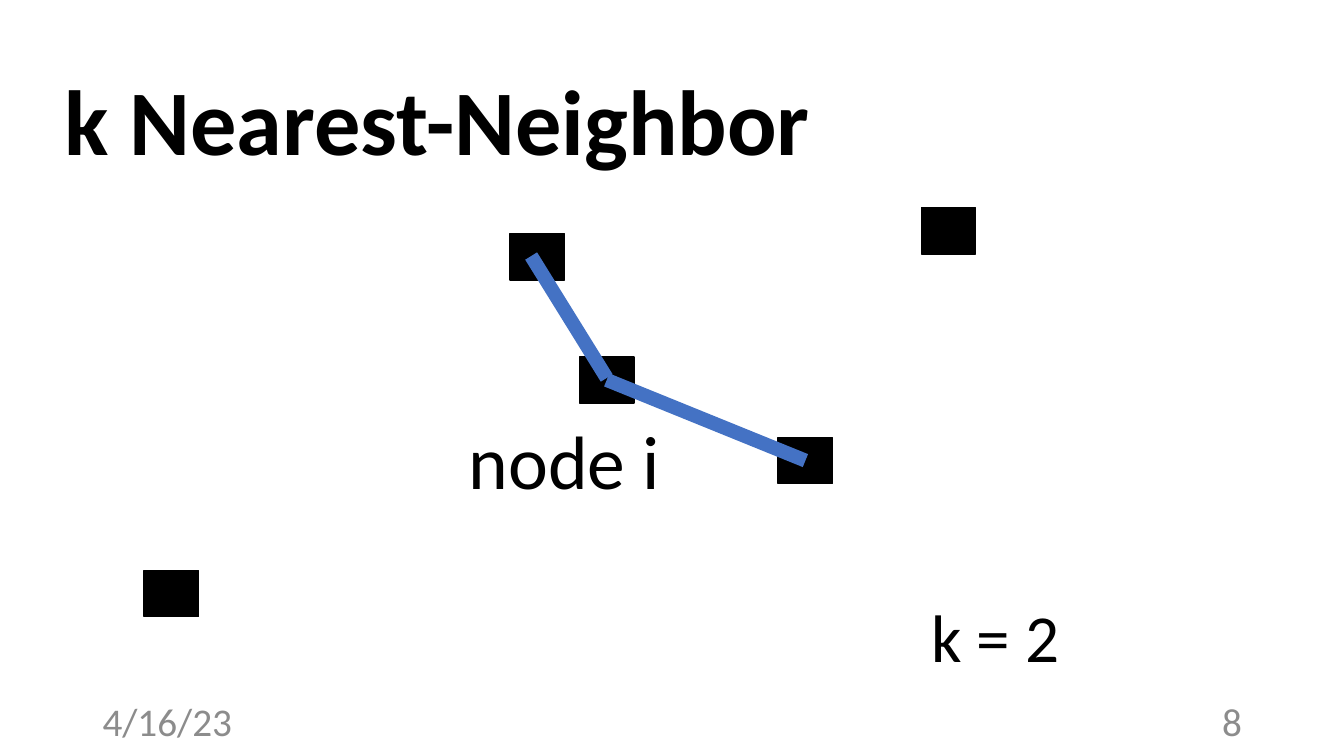
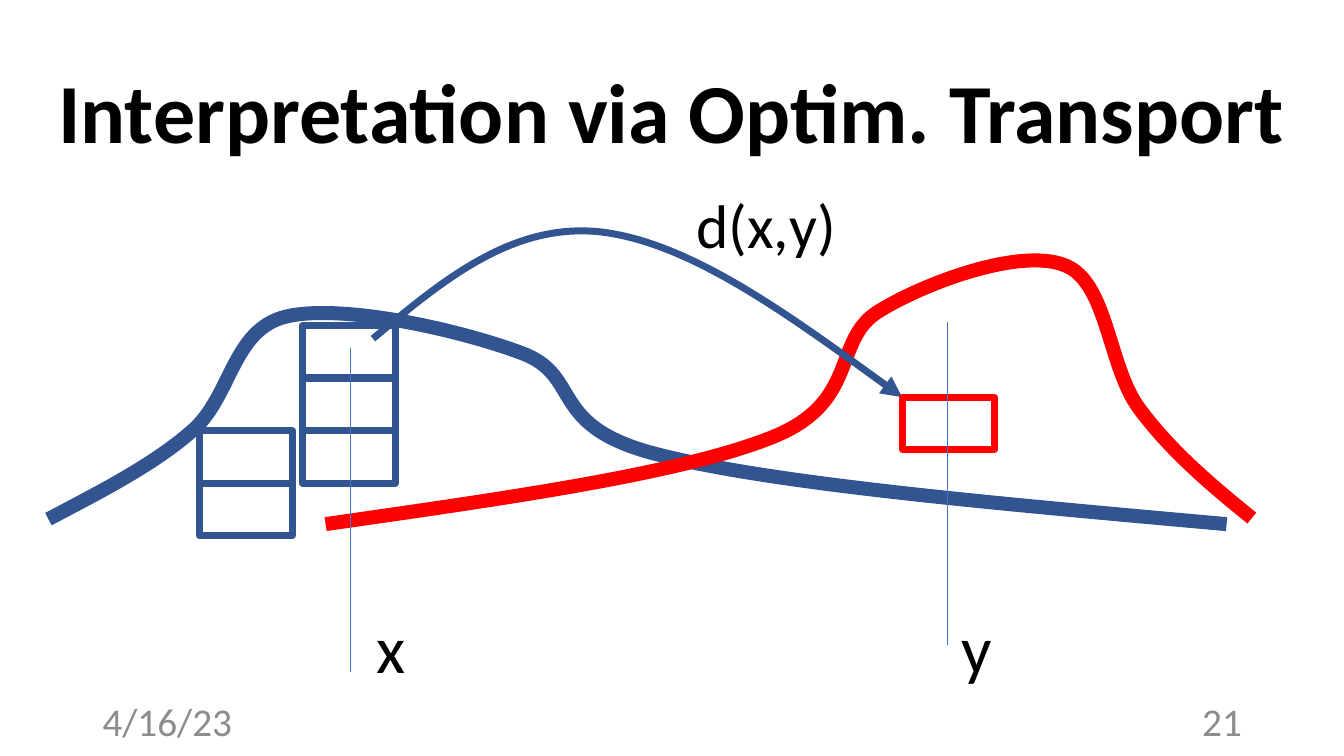
from lxml.etree import SubElement
from pptx import Presentation
from pptx.dml.color import RGBColor
from pptx.enum.shapes import MSO_CONNECTOR, MSO_SHAPE
from pptx.enum.text import MSO_ANCHOR, MSO_AUTO_SIZE, PP_ALIGN
from pptx.oxml.ns import qn
from pptx.util import Pt

BLACK = RGBColor(0x00, 0x00, 0x00)
WHITE = RGBColor(0xFF, 0xFF, 0xFF)
GREY = RGBColor(0x8C, 0x8C, 0x8C)
BLUE = RGBColor(0x44, 0x72, 0xC4)
DARK_BLUE = RGBColor(0x32, 0x54, 0x91)
RED = RGBColor(0xFF, 0x00, 0x00)

FONT = "Calibri"
DATE = "4/16/23"
NODE_SIZE = (38.9, 33.1)
BIN_SIZE = (66.2, 37.4)
BIN_PITCH = 37.6

SOURCE_CURVE = [
    (34.6, 370.8), (71.3, 351.4), (108.7, 332.6), (136.8, 308.2),
    (165.6, 283.7), (165.6, 235.4), (204.5, 226.1),
    (244.1, 216.7), (327.6, 235.4), (372.2, 252),
    (417.6, 268.6), (388.8, 305.3), (473, 325.4),
    (557.3, 346.3), (716.4, 360), (876.2, 374.4),
]
TARGET_CURVE = [
    (894.2, 370.1), (864.7, 346.3), (835.9, 321.8), (813.6, 291.6),
    (791.3, 261.4), (791.3, 200.9), (760.3, 189.4),
    (729.4, 177.1), (663.1, 200.9), (628.6, 221.8),
    (593.3, 242.6), (615.6, 288), (549.4, 313.2),
    (483.1, 339.1), (357.8, 356.4), (232.6, 374.4),
]
TRANSPORT_ARROW = [
    (266.4, 241.9), (316.1, 200.2), (365.8, 159.1), (428.4, 165.6),
    (491.8, 172.8), (568.1, 228.2), (644.4, 283.7),
]


def points(*lengths):
    """Turn lengths in points into slide lengths."""
    return [Pt(length) for length in lengths]


def add_text(slide, text, box, size, color=BLACK):
    """Add a one-paragraph text box; return its frame and paragraph."""
    frame = slide.shapes.add_textbox(*points(*box)).text_frame
    frame.word_wrap = True
    paragraph = frame.paragraphs[0]
    paragraph.text = text
    paragraph.font.name = FONT
    paragraph.font.size = Pt(size)
    paragraph.font.color.rgb = color
    return frame, paragraph


def add_label(slide, text, box, size):
    """Add a label that is as wide as its text."""
    frame, _ = add_text(slide, text, box, size)
    frame.word_wrap = False
    frame.auto_size = MSO_AUTO_SIZE.SHAPE_TO_FIT_TEXT


def add_footer(slide, text, left, align):
    """Add one grey entry of the footer."""
    frame, paragraph = add_text(slide, text, (left, 500.4, 216, 28.8), 28, GREY)
    frame.vertical_anchor = MSO_ANCHOR.MIDDLE
    paragraph.alignment = align


def add_page(deck, title, title_box, title_size, number):
    """Add a slide with its title, date and number."""
    slide = deck.slides.add_slide(deck.slide_layouts[6])
    frame, paragraph = add_text(slide, title, title_box, title_size)
    frame.vertical_anchor = MSO_ANCHOR.MIDDLE
    paragraph.line_spacing = 0.9
    paragraph.font.bold = True
    add_footer(slide, DATE, 66.2, PP_ALIGN.LEFT)
    add_footer(slide, number, 678.2, PP_ALIGN.RIGHT)
    return slide


def set_line(shape, color, width):
    """Set the colour and width of an outline."""
    shape.line.color.rgb = color
    shape.line.width = Pt(width)


def add_rectangle(slide, corner, size, fill, line, width):
    """Add a filled and outlined rectangle."""
    rectangle = slide.shapes.add_shape(
        MSO_SHAPE.RECTANGLE, *points(*corner, *size))
    rectangle.shadow.inherit = False
    rectangle.fill.solid()
    rectangle.fill.fore_color.rgb = fill
    set_line(rectangle, line, width)


def add_line(slide, start, end, width):
    """Add a straight blue line."""
    line = slide.shapes.add_connector(
        MSO_CONNECTOR.STRAIGHT, *points(*start, *end))
    set_line(line, BLUE, width)
    SubElement(line.element.spPr, qn("a:effectLst"))


def add_curve(slide, controls, color, width, arrow=False):
    """Add an open curve; three controls after the start make a Bezier arc."""
    start, *rest = [points(*control) for control in controls]
    builder = slide.shapes.build_freeform(*start)
    builder.add_line_segments(rest, close=False)
    curve = builder.convert_to_shape()
    curve.shadow.inherit = False
    curve.fill.background()
    set_line(curve, color, width)

    outline = next(curve.element.iter(qn("a:path")))
    segments = outline.findall(qn("a:lnTo"))
    for first in range(0, len(segments), 3):
        arc = SubElement(outline, qn("a:cubicBezTo"))
        for segment in segments[first:first + 3]:
            arc.append(segment[0])
            outline.remove(segment)
    if arrow:
        stroke = curve.element.spPr.find(qn("a:ln"))
        SubElement(stroke, qn("a:tailEnd"), type="triangle")


def add_bins(slide, left, top, count, color):
    """Stack histogram bins downwards."""
    for row in range(count):
        add_rectangle(slide, (left, top + row * BIN_PITCH), BIN_SIZE,
                      WHITE, color, 5)


def build_neighbors(deck):
    """Build the slide on nearest neighbours."""
    slide = add_page(deck, "k Nearest-Neighbor", (38.9, 43.9, 859, 91.4), 66, "8")
    for node in [(414, 254.9), (555.8, 312.5), (658.1, 148.3),
                 (364.3, 167), (103, 407.5)]:
        add_rectangle(slide, node, NODE_SIZE, BLACK, BLACK, 1)
    add_label(slide, "node i", (327.6, 292.3, 152.6, 72.7), 54)
    add_label(slide, "k = 2 ", (658.1, 421.9, 118.1, 65.5), 48)
    add_line(slide, (433.4, 271.4), (575.3, 329), 10)
    add_line(slide, (379.4, 182.9), (433.4, 270), 10)


def build_transport(deck):
    """Build the slide on optimal transport."""
    slide = add_page(deck, "Interpretation via Optim. Transport",
                     (34.6, 31, 892.8, 104.4), 60, "21")
    add_curve(slide, SOURCE_CURVE, DARK_BLUE, 10)
    add_curve(slide, TARGET_CURVE, RED, 10)
    add_bins(slide, 216, 232.6, 3, DARK_BLUE)
    add_bins(slide, 142.6, 307.8, 2, DARK_BLUE)
    add_curve(slide, TRANSPORT_ARROW, DARK_BLUE, 5, arrow=True)
    add_bins(slide, 644.4, 283.7, 1, RED)
    add_line(slide, (250.6, 248.4), (250.6, 480.2), 0.5)
    add_line(slide, (676.8, 229.7), (676.8, 460.8), 0.5)
    add_label(slide, "x", (262.1, 429.8, 35.3, 65.5), 48)
    add_label(slide, "y", (679.7, 429.8, 36.7, 65.5), 48)
    add_label(slide, "d(x,y)", (490.3, 130.3, 115.2, 60.5), 44)


def main():
    """Build and save the presentation."""
    deck = Presentation()
    deck.slide_width, deck.slide_height = points(960, 540)
    build_neighbors(deck)
    build_transport(deck)
    deck.save("out.pptx")


main()
